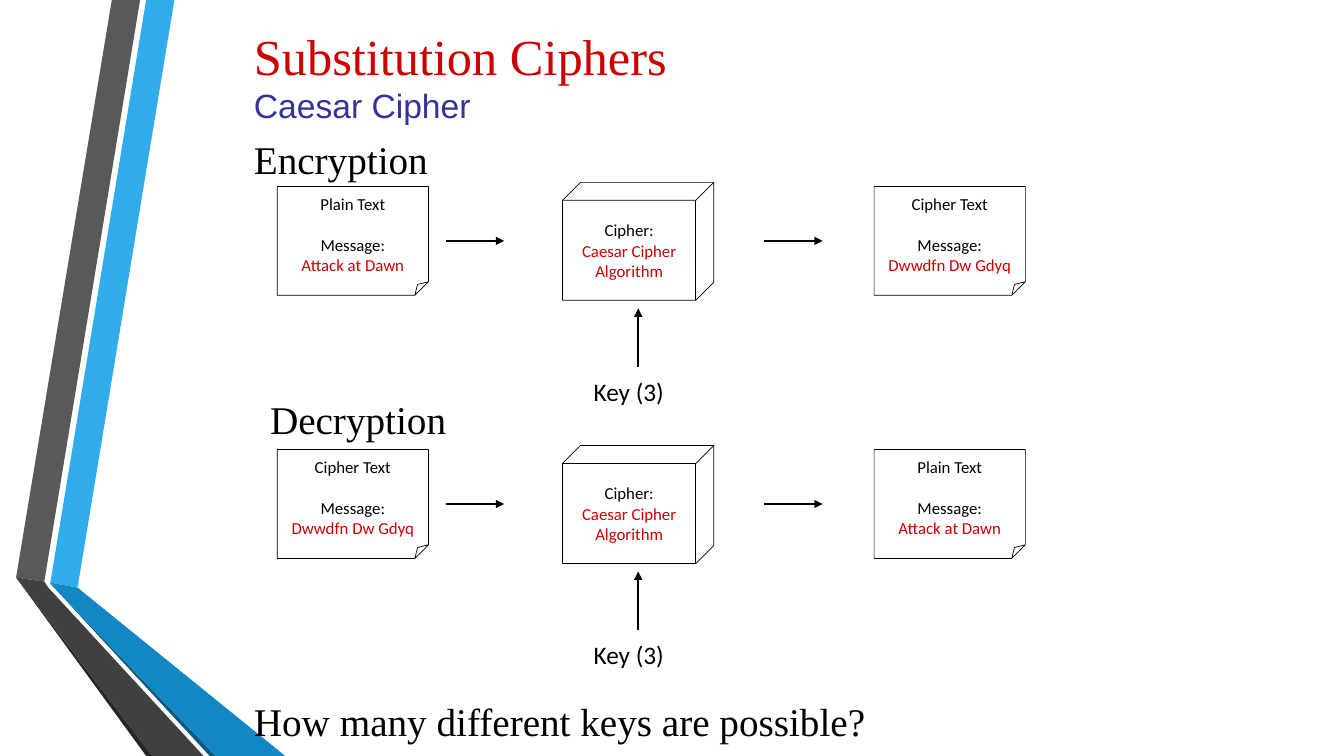
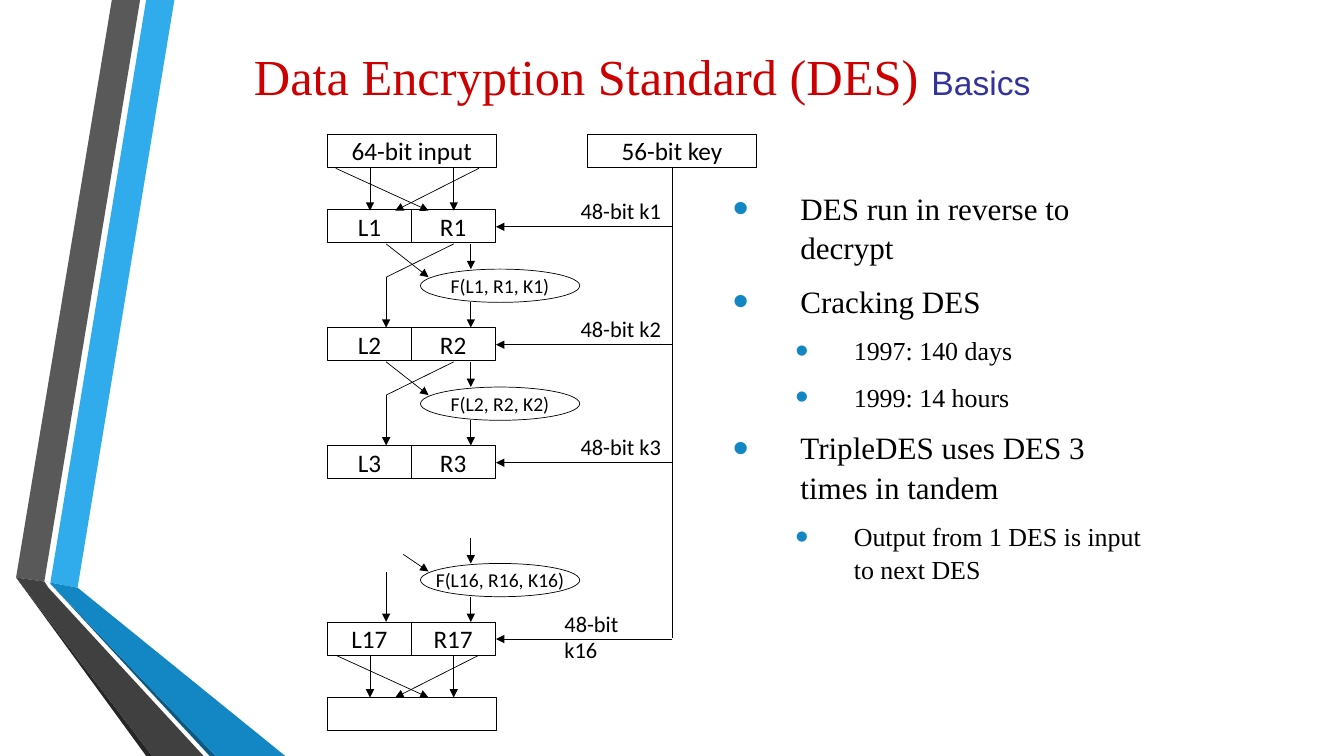
from dataclasses import dataclass
from itertools import pairwise

from lxml import etree
from pptx import Presentation
from pptx import util as u
from pptx.dml.color import RGBColor
from pptx.enum import shapes, text
from pptx.oxml.ns import qn

COLORS = {
    "black": "000000", "red": "CC0000", "indigo": "333399",
    "sky": "30ACEC", "blue": "1287C3", "navy": "0C5A82",
    "gray": "595959", "charcoal": "404040", "coal": "262626",
}
# Each style: colour key and the font attributes to set.
STYLES = {
    "title": ("red", {"name": "Times New Roman", "size": u.Pt(36)}),
    "subtitle": ("indigo", {"name": "Arial", "size": u.Pt(24)}),
    "heading": ("black", {"name": "Times New Roman", "size": u.Pt(28)}),
    "point": ("black", {"name": "Times New Roman", "size": u.Pt(22.2)}),
    "subpoint": ("black", {"name": "Times New Roman", "size": u.Pt(18.5)}),
    "note": ("black", {"name": "Calibri", "size": u.Pt(12)}),
    "secret": ("red", {"name": "Calibri", "size": u.Pt(12)}),
    "function": ("black", {"name": "Calibri", "size": u.Pt(14)}),
    "round key": ("black", {"name": "Calibri", "size": u.Pt(16)}),
    "block": ("black", {"name": "Calibri", "size": u.Pt(18)}),
}
BANDS = [
    ("sky", [(0.5, 5.78), (0.77, 5.83), (1.73, 0), (1.45, 0)]),
    ("gray", [(1.39, 0), (1.11, 0), (0.16, 5.73), (0.44, 5.77)]),
    ("coal", [(0.16, 5.73), (1.45, 7.5), (1.51, 7.5)]),
    ("navy", [(0.5, 5.79), (2.08, 7.5), (2.14, 7.5)]),
    ("blue", [(0.5, 5.79), (2.14, 7.5), (2.83, 7.5), (0.77, 5.83), (0.5, 5.78)]),
    ("charcoal", [(2.02, 7.5), (0.48, 5.83), (0.44, 5.77), (0.16, 5.73), (1.51, 7.5)]),
]
THIN, BOLD = 0.5, 1.5


@dataclass
class Line:
    """One paragraph: (words, style) runs and the space before it in points."""
    runs: list[tuple[str, str]]
    before: float = 0


@dataclass
class Stage:
    """One row of the cipher flow: the messages on either side of the cipher."""
    top: float
    source: tuple[str, str]
    result: tuple[str, str]


@dataclass
class Round:
    """One row of DES halves with the key that feeds it."""
    top: float
    number: int
    key: str
    key_left: float = 5.66


@dataclass
class Level:
    style: str
    indent: float
    hanging: float
    before: float


PLAIN = ("Plain Text", "Attack at Dawn")
SECRET = ("Cipher Text", "Dwwdfn Dw Gdyq")
STAGES = [Stage(1.85, PLAIN, SECRET), Stage(4.46, SECRET, PLAIN)]

ROUNDS = [
    Round(2.08, 1, "48-bit k1"),
    Round(3.25, 2, "48-bit k2"),
    Round(4.42, 3, "48-bit k3"),
    Round(6.17, 17, "48-bit k16", 5.5),
]
LEVELS = [Level("point", 0.67, 0.67, 4.4), Level("subpoint", 1.2, 0.58, 3.7)]
POINTS = [
    (0, "DES run in reverse to decrypt"),
    (0, "Cracking DES"),
    (1, "1997: 140 days"),
    (1, "1999: 14 hours"),
    (0, "TripleDES uses DES 3 times in tandem"),
    (1, "Output from 1 DES is input to next DES"),
]


def rgb(color: str) -> RGBColor:
    return RGBColor.from_string(COLORS[color])


def box_at(left: float, top: float, width: float, height: float) -> list:
    return [u.Inches(n) for n in (left, top, width, height)]


def add_run(paragraph, words: str, style: str) -> None:
    run = paragraph.add_run()
    run.text = words
    color, font_format = STYLES[style]
    for attribute, value in font_format.items():
        setattr(run.font, attribute, value)
    run.font.color.rgb = rgb(color)


def write(frame, lines: list[Line], align=text.PP_ALIGN.LEFT,
          anchor=text.MSO_ANCHOR.TOP, wrap: bool = False) -> None:
    frame.word_wrap = wrap
    frame.vertical_anchor = anchor
    for index, line in enumerate(lines):
        paragraph = frame.add_paragraph() if index else frame.paragraphs[0]
        paragraph.alignment = align
        if line.before:
            paragraph.space_before = u.Pt(line.before)
        for words, style in line.runs:
            add_run(paragraph, words, style)


def add_label(slide, box: tuple, words: str, style: str, wrap: bool = False) -> None:
    label = slide.shapes.add_textbox(*box_at(*box))
    write(label.text_frame, [Line([(words, style)])], wrap=wrap)


def set_adjustment(shape, fraction: float) -> None:
    """Set the single adjustment, which python-pptx does not list for every preset."""
    guides = shape._element.spPr.find(qn("a:prstGeom")).get_or_add_avLst()
    for guide in list(guides):
        guides.remove(guide)
    etree.SubElement(guides, qn("a:gd"), name="adj", fmla=f"val {round(fraction * 100000)}")


def add_outline(slide, kind, box: tuple, lines: list[Line], adjustment: float | None = None) -> None:
    """Unfilled shape with a thin black line and centred text."""
    outline = slide.shapes.add_shape(kind, *box_at(*box))
    outline.shadow.inherit = False
    outline.fill.background()
    outline.line.color.rgb = rgb("black")
    outline.line.width = u.Pt(THIN)
    if adjustment is not None:
        set_adjustment(outline, adjustment)
    write(outline.text_frame, lines, text.PP_ALIGN.CENTER, text.MSO_ANCHOR.MIDDLE)


def add_line(slide, start: tuple, end: tuple, width: float = THIN, arrow: bool = True) -> None:
    ends = [u.Inches(n) for n in (*start, *end)]
    line = slide.shapes.add_connector(shapes.MSO_CONNECTOR.STRAIGHT, *ends)
    line.line.color.rgb = rgb("black")
    line.line.width = u.Pt(width)
    properties = line._element.spPr
    if arrow:
        etree.SubElement(properties.find(qn("a:ln")), qn("a:tailEnd"), type="triangle")
    etree.SubElement(properties, qn("a:effectLst"))


def add_bands(slide) -> None:
    for color, corners in BANDS:
        start, *rest = [(u.Inches(x), u.Inches(y)) for x, y in corners]
        builder = slide.shapes.build_freeform(*start)
        builder.add_line_segments(rest, close=True)
        band = builder.convert_to_shape()
        band.shadow.inherit = False
        band.fill.solid()
        band.fill.fore_color.rgb = rgb(color)
        band.line.fill.background()


def start_slide(deck, title: list[Line]):
    """Blank slide with the side bands and a title."""
    slide = deck.slides.add_slide(deck.slide_layouts[6])
    add_bands(slide)
    heading = slide.shapes.add_textbox(*box_at(2.42, 0.12, 8.5, 1.25))
    write(heading.text_frame, title, anchor=text.MSO_ANCHOR.MIDDLE, wrap=True)
    return slide


def add_message(slide, left: float, top: float, message: tuple[str, str]) -> None:
    kind, words = message
    lines = [Line([(kind, "note")]), Line([("Message:", "note")], before=14.6),
             Line([(words, "secret")])]
    add_outline(slide, shapes.MSO_SHAPE.FOLDED_CORNER, (left, top, 1.5, 1.08), lines, 0.125)


def add_stage(slide, stage: Stage) -> None:
    top = stage.top
    add_message(slide, 2.75, top, stage.source)
    add_message(slide, 8.67, top, stage.result)
    cipher = [("Cipher:", "note"), ("Caesar Cipher", "secret"), ("Algorithm", "secret")]
    add_outline(slide, shapes.MSO_SHAPE.CUBE, (5.58, top - 0.04, 1.5, 1.17),
                [Line([run]) for run in cipher], 0.152)
    add_line(slide, (6.33, top + 1.79), (6.33, top + 1.21), BOLD)
    for left in (4.42, 7.58):
        add_line(slide, (left, top + 0.54), (left + 0.58, top + 0.54), BOLD)
    add_label(slide, (5.79, top + 1.83, 0.92, 0.4), "Key (3)", "block")


def add_block(slide, left: float, top: float, width: float, words: str = "") -> None:
    lines = [Line([(words, "block")])] if words else []
    add_outline(slide, shapes.MSO_SHAPE.RECTANGLE, (left, top, width, 0.33), lines)


def add_permutation(slide, top: float) -> None:
    """Two straight and two crossing arrows between a block and its halves."""
    for start, end in ((3.67, 3.67), (4.5, 4.5), (3.33, 4.25), (4.75, 3.92)):
        add_line(slide, (start, top), (end, top + 0.42))


def add_round(slide, row: Round) -> None:
    for left, half in ((3.25, "L"), (4.08, "R")):
        add_block(slide, left, row.top, 0.83, f"{half}{row.number}")
    add_line(slide, (6.67, row.top + 0.17), (4.92, row.top + 0.17))
    add_label(slide, (row.key_left, row.top - 0.17, 1.05, 0.37), row.key, "round key")


def add_mixing(slide, row: Round, follows_gap: bool) -> None:
    """Function and arrows that lead into a row; a gap above cuts them short."""
    top, number = row.top, row.number - 1
    add_outline(slide, shapes.MSO_SHAPE.OVAL, (4.17, top - 0.58, 1.58, 0.33),
                [Line([(f"F(L{number}, R{number}, K{number})", "function")])])
    add_line(slide, (4.67, top - 0.83), (4.67, top - 0.58))
    add_line(slide, (4.67, top - 0.25), (4.67, top))
    add_line(slide, (3.83, top - 0.5), (3.83, top))
    left_start = (4, top - 0.67) if follows_gap else (3.83, top - 0.83)
    add_line(slide, left_start, (4.25, top - 0.5))
    if not follows_gap:
        add_line(slide, (4.5, top - 0.83), (3.83, top - 0.5), arrow=False)


def add_bullet(paragraph, level: Level) -> None:
    properties = paragraph._p.get_or_add_pPr()
    properties.set("marL", str(u.Inches(level.indent)))
    properties.set("indent", str(-u.Inches(level.hanging)))
    color = etree.SubElement(properties, qn("a:buClr"))
    etree.SubElement(color, qn("a:srgbClr"), val=COLORS["blue"])
    etree.SubElement(properties, qn("a:buSzPct"), val="145000")
    etree.SubElement(properties, qn("a:buFont"), typeface="Arial")
    etree.SubElement(properties, qn("a:buChar"), char="•")


def add_points(slide) -> None:
    frame = slide.shapes.add_textbox(*box_at(7.17, 2.08, 4.25, 3.5)).text_frame
    frame.word_wrap = True
    frame.vertical_anchor = text.MSO_ANCHOR.MIDDLE
    for index, (depth, words) in enumerate(POINTS):
        level = LEVELS[depth]
        paragraph = frame.add_paragraph() if index else frame.paragraphs[0]
        add_bullet(paragraph, level)
        spacing = {"level": depth, "line_spacing": 1.05, "space_after": u.Pt(6)}
        if index:
            spacing["space_before"] = u.Pt(level.before)
        for attribute, value in spacing.items():
            setattr(paragraph, attribute, value)
        add_run(paragraph, words, level.style)


def build_caesar(deck) -> None:
    slide = start_slide(deck, [Line([("Substitution Ciphers", "title")]),
                               Line([("Caesar Cipher", "subtitle")])])
    headings = [(2.42, 1.29, "Encryption"), (2.58, 3.87, "Decryption"),
                (2.42, 6.87, "How many different keys are possible?")]
    for left, top, words in headings:
        add_label(slide, (left, top, 9.67, 0.58), words, "heading", wrap=True)
    for stage in STAGES:
        add_stage(slide, stage)


def build_des(deck) -> None:
    slide = start_slide(deck, [Line([("Data Encryption Standard (DES) ", "title"),
                                     ("Basics", "subtitle")])])
    add_points(slide)
    add_block(slide, 3.25, 1.33, 1.67, "64-bit input")
    add_block(slide, 5.83, 1.33, 1.67, "56-bit key")
    add_block(slide, 3.25, 6.92, 1.67)
    add_line(slide, (6.67, 6.33), (6.67, 1.67), arrow=False)
    for top in (1.67, 6.5):
        add_permutation(slide, top)
    for row in ROUNDS:
        add_round(slide, row)
    for above, row in pairwise(ROUNDS):
        add_mixing(slide, row, follows_gap=row.number - above.number > 1)


def main() -> None:
    deck = Presentation()
    deck.slide_width, deck.slide_height = u.Inches(13.33), u.Inches(7.5)
    build_caesar(deck)
    build_des(deck)
    deck.save("out.pptx")


if __name__ == "__main__":
    main()
